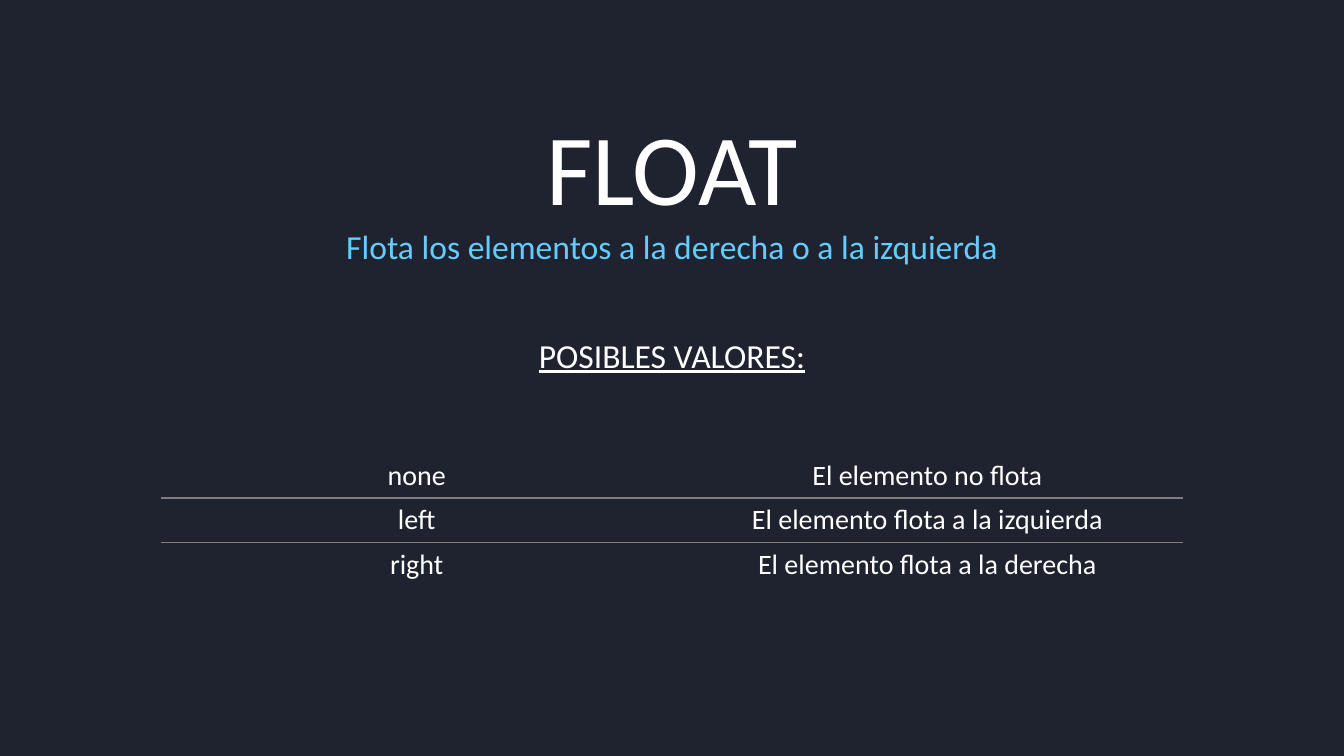
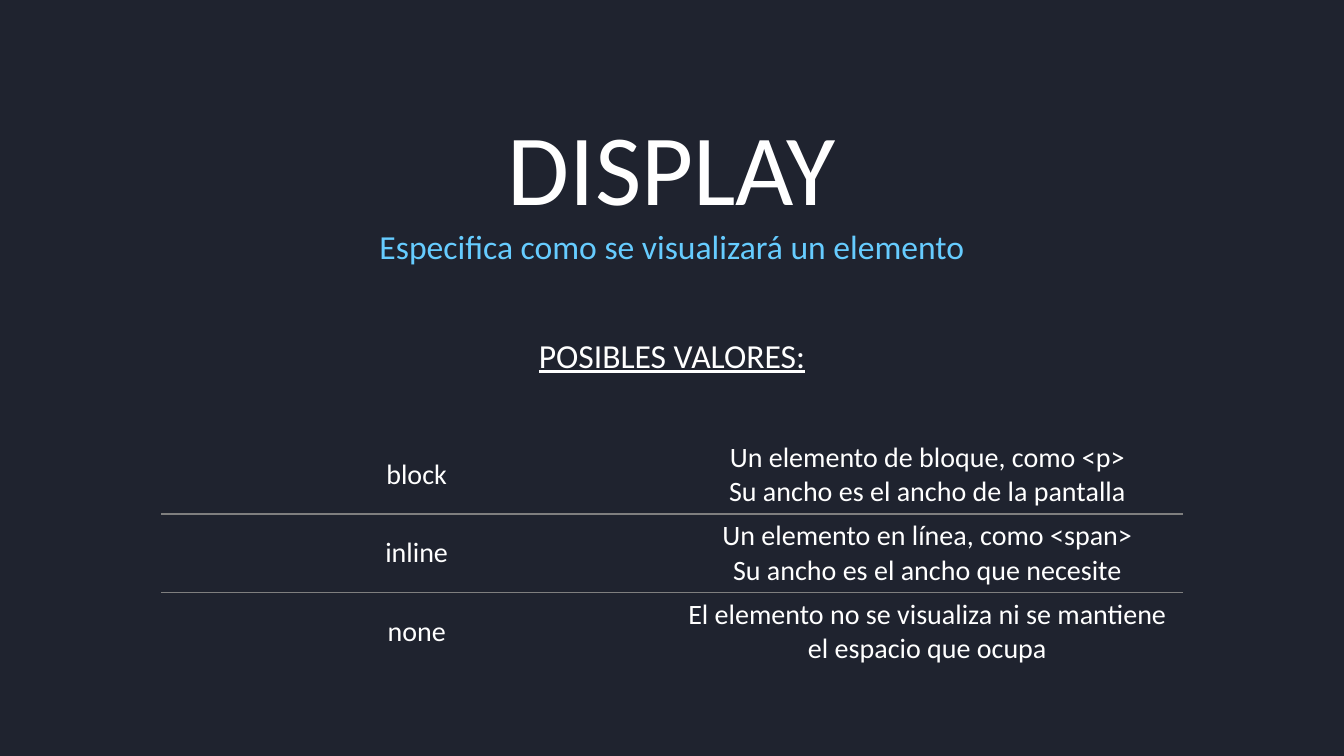
from lxml.etree import SubElement
from pptx import Presentation
from pptx.dml.color import RGBColor
from pptx.enum.text import MSO_ANCHOR, PP_ALIGN
from pptx.oxml.ns import qn
from pptx.util import Inches, Pt

COLORS = {"night": "1F232F", "white": "FFFFFF", "sky": "66CCFF", "rule": "7F7F7F"}
FONT = "Calibri"
PLAIN_TABLE = "{2D5ABB26-0587-4C30-8999-92F81FD0307C}"  # no style, no grid
WIDTH, HEIGHT = Inches(13.33), Inches(7.5)
MARGIN, TABLE_LEFT = 0.042 * WIDTH, 0.12 * WIDTH

PROPERTIES = [
    {
        "title": "FLOAT",
        "summary": "Flota los elementos a la derecha o a la izquierda",
        "table_top": 0.6,
        "row_height": Inches(0.44),
        "values": [
            ("none", "El elemento no flota"),
            ("left", "El elemento flota a la izquierda"),
            ("right", "El elemento flota a la derecha"),
        ],
    },
    {
        "title": "DISPLAY",
        "summary": "Especifica como se visualizará un elemento",
        "table_top": 0.576,
        "row_height": Inches(0.78),
        "values": [
            ("block", "Un elemento de bloque, como <p>\nSu ancho es el ancho de la pantalla"),
            ("inline", "Un elemento en línea, como <span>\nSu ancho es el ancho que necesite"),
            ("none", "El elemento no se visualiza ni se mantiene el espacio que ocupa"),
        ],
    },
]


def style(para, size, color):
    para.alignment = PP_ALIGN.CENTER
    para.font.name = FONT
    para.font.size = Pt(size)
    para.font.color.rgb = RGBColor.from_string(COLORS[color])


def add_rule(cell, side):
    """Draw a thin border on one side of a cell: lnT or lnB."""
    line = SubElement(cell._tc.get_or_add_tcPr(), qn(f"a:{side}"), w=str(Pt(1)))
    fill = SubElement(line, qn("a:solidFill"))
    SubElement(fill, qn("a:srgbClr"), val=COLORS["rule"])


deck = Presentation()
deck.slide_width, deck.slide_height = WIDTH, HEIGHT
backdrop = deck.slide_master.background.fill
backdrop.solid()
backdrop.fore_color.rgb = RGBColor.from_string(COLORS["night"])

for entry in PROPERTIES:
    page = deck.slides.add_slide(deck.slide_layouts[6])

    box = page.shapes.add_textbox(
        int(MARGIN), int(0.132 * HEIGHT), int(WIDTH - 2 * MARGIN), int(0.4 * HEIGHT))
    frame = box.text_frame
    frame.word_wrap = True
    frame.text = "\n".join([entry["title"], entry["summary"], "POSIBLES VALORES:"])
    title, summary, heading = frame.paragraphs
    style(title, 72, "white")
    style(summary, 24, "sky")
    style(heading, 24, "white")
    heading.font.underline = True
    heading.space_before = Pt(49)

    values = entry["values"]
    holder = page.shapes.add_table(
        len(values), 2, int(TABLE_LEFT), int(entry["table_top"] * HEIGHT),
        int(WIDTH - 2 * TABLE_LEFT), entry["row_height"] * len(values))
    table = holder.table
    table.first_row = table.horz_banding = False
    table._tbl.tblPr.find(qn("a:tableStyleId")).text = PLAIN_TABLE

    for row, texts in enumerate(values):
        for column, text in enumerate(texts):
            cell = table.cell(row, column)
            cell.text = text
            cell.vertical_anchor = MSO_ANCHOR.MIDDLE
            if row > 0:
                add_rule(cell, "lnT")
            if row < len(values) - 1:
                add_rule(cell, "lnB")
            cell.fill.background()
            for para in cell.text_frame.paragraphs:
                style(para, 20, "white")

deck.save("out.pptx")
